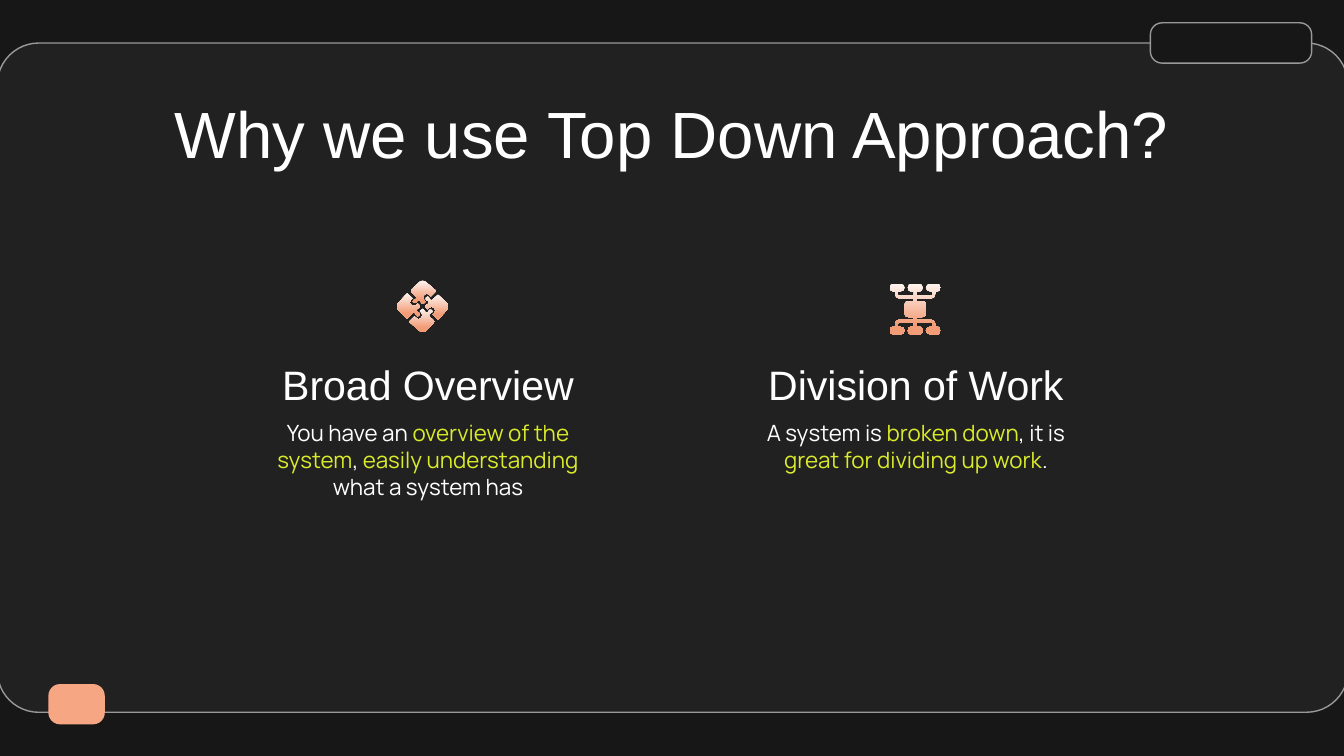
from pptx import Presentation
from pptx.dml.color import RGBColor
from pptx.enum import shapes, text
from pptx.util import Inches, Pt

WHITE, LIME, DARK, PANEL, GREY, PEACH = (
    "FFFFFF", "DAEB2B", "171717", "212121", "999999", "F6A683")
ICON_TOP, ICON_BOTTOM = "FEF4F0", "F29C77"

# Content
TITLE = "Why we use Top Down Approach?"
COLUMNS = [
    (1.77, "Broad Overview", [
        ("You have an ", WHITE), ("overview of the system", LIME), (", ", WHITE),
        ("easily understanding ", LIME), ("what a system has", WHITE)]),
    (5.4, "Division of Work", [
        ("A system is ", WHITE), ("broken down", LIME), (", it is ", WHITE),
        ("great for dividing up work", LIME), (".", WHITE)]),
]
# left, top, width, height, corner, fill, outline
PANELS = [
    (-0.02, 0.32, 10.05, 4.98, 0.062, PANEL, GREY),
    (0.36, 5.09, 0.42, 0.3, 0.289, PEACH, None),
    (8.56, 0.17, 1.2, 0.3, 0.289, DARK, GREY),
]
# Icon outlines, in hundredths of an inch from the icon centre
PUZZLE_CENTRE, CHART_CENTRE = (3.145, 2.28), (6.81, 2.3)
PUZZLE_PIECE = [
    (-11.5, -10), (-18.5, -2), (-19.3, 0), (-18.5, 2), (-11.5, 9), (-7.5, 5),
    (-6.5, 4.6), (-5.5, 5), (-4.5, 7), (-3.5, 7.3), (-2.5, 6.5), (-2.5, 5),
    (-4.5, 3.8), (-4.8, 2.5), (-1.5, 0), (-3.5, -2), (-5, -0.8), (-6.5, -0.2),
    (-8.5, -1), (-9.7, -3), (-8.5, -5), (-7.5, -6)]
CHART_QUARTER = [
    (0, -19), (3, -19), (4.8, -18.2), (5.5, -16), (4.8, -13.8), (3, -13),
    (1, -13), (1, -10), (12, -10), (13, -10.7), (13, -13), (12, -13),
    (9, -13.8), (8, -16), (9, -18.2), (12, -19), (16, -19), (18.2, -18.2),
    (19, -16), (18.2, -13.8), (16, -13), (15, -13), (15, -12), (14.2, -9),
    (12, -8), (1, -8), (1, -6), (5, -6), (7.2, -5.2), (8, -3)]


def colour(value):
    return RGBColor.from_string(value)


def write(box, place, spans, size, font, anchor, before=0):
    box.left, box.top, box.width, box.height = map(Inches, place)
    frame = box.text_frame
    frame.word_wrap = True
    frame.auto_size = text.MSO_AUTO_SIZE.NONE
    frame.vertical_anchor = anchor
    frame.margin_left = frame.margin_right = Inches(0.1)
    frame.margin_top = frame.margin_bottom = Inches(0.1)
    para = frame.paragraphs[0]
    para.alignment = text.PP_ALIGN.CENTER
    para.line_spacing, para.space_before = 1.0, Pt(before)
    props = para._p.get_or_add_pPr()
    props.set("marL", "0")
    props.set("indent", "0")
    props.append(props.makeelement(
        "{http://schemas.openxmlformats.org/drawingml/2006/main}buNone", {}))
    for words, tint in spans:
        span = para.add_run()
        span.text = words
        span.font.size, span.font.name, span.font.bold = Pt(size), font, False
        span.font.color.rgb = colour(tint)


def draw_icon(page, centre, points):
    outline = [(Inches(centre[0] + x / 100), Inches(centre[1] + y / 100))
               for x, y in points]
    builder = page.shapes.build_freeform(*outline[0])
    builder.add_line_segments(outline[1:], close=True)
    icon = builder.convert_to_shape()
    icon.shadow.inherit = False
    icon.line.fill.background()
    icon.fill.gradient()
    icon.fill.gradient_angle = 270
    stops = icon.fill.gradient_stops
    for stop, place, tint in zip(stops, (0, 0.8), (ICON_TOP, ICON_BOTTOM)):
        stop.position = place
        stop.color.rgb = colour(tint)


# Widescreen page, 16 to 9
deck = Presentation()
deck.slide_width = Inches(10)
deck.slide_height = deck.slide_width * 9 // 16
page = deck.slides.add_slide(deck.slide_layouts.get_by_name("Comparison"))
page.background.fill.solid()
page.background.fill.fore_color.rgb = colour(DARK)
title, *bodies = page.placeholders

# Frame and tabs, placed behind the text
for left, top, width, height, corner, fill, outline in PANELS:
    panel = page.shapes.add_shape(
        shapes.MSO_SHAPE.ROUNDED_RECTANGLE,
        *map(Inches, (left, top, width, height)))
    panel.adjustments[0] = corner
    panel.shadow.inherit = False
    panel.fill.solid()
    panel.fill.fore_color.rgb = colour(fill)
    if outline:
        panel.line.color.rgb = colour(outline)
        panel.line.width = Pt(0.75)
    else:
        panel.line.fill.background()
    title.element.addprevious(panel.element)

# Title and columns
write(title, (0.78, 0.59, 8.44, 0.63), [(TITLE, WHITE)], 35, "Arial",
      text.MSO_ANCHOR.TOP, before=4)
for (left, heading, spans), head_box, body_box in zip(
        COLUMNS, bodies[::2], bodies[1::2]):
    write(head_box, (left, 2.64, 2.83, 0.5), [(heading, WHITE)], 22, "Arial",
          text.MSO_ANCHOR.BOTTOM)
    write(body_box, (left, 3.02, 2.83, 1.18), spans, 12, "Manrope",
          text.MSO_ANCHOR.TOP)

# Puzzle icon: one piece turned four times
piece = PUZZLE_PIECE
for turn in range(4):
    draw_icon(page, PUZZLE_CENTRE, piece)
    piece = [(-y, x) for x, y in piece]

# Hierarchy icon: one quarter mirrored down, then across
right = CHART_QUARTER + [(x, -y) for x, y in reversed(CHART_QUARTER)]
draw_icon(page, CHART_CENTRE, right + [(-x, y) for x, y in reversed(right)])

deck.save("out.pptx")
